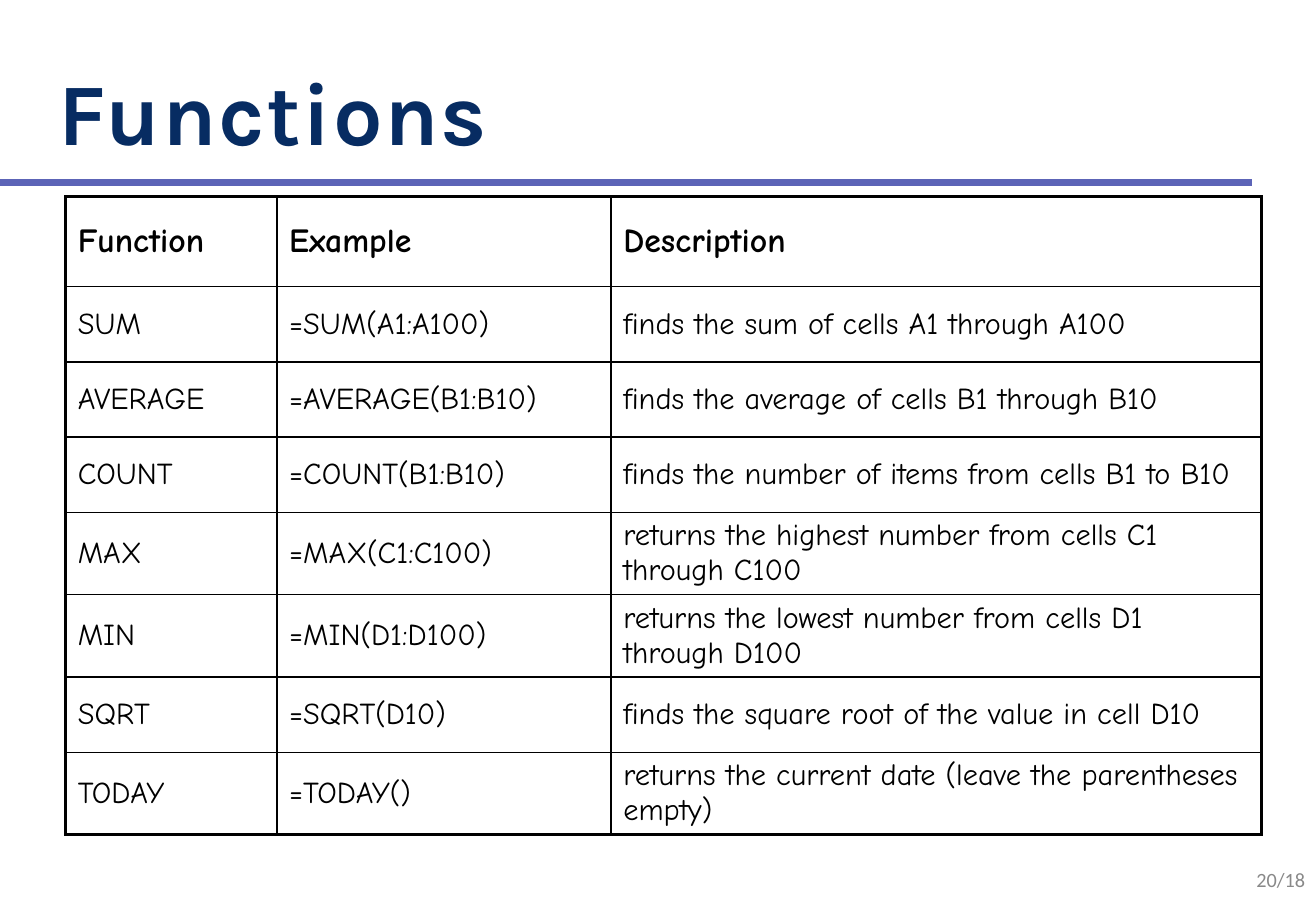
from dataclasses import dataclass

from lxml import etree
from pptx import Presentation
from pptx.dml.color import RGBColor
from pptx.enum.shapes import MSO_CONNECTOR
from pptx.enum.text import MSO_ANCHOR, MSO_AUTO_SIZE, PP_ALIGN
from pptx.oxml.ns import qn
from pptx.util import Inches, Pt

STRAIGHT = MSO_CONNECTOR.STRAIGHT
MIDDLE, BOTTOM = MSO_ANCHOR.MIDDLE, MSO_ANCHOR.BOTTOM
LEFT, RIGHT = PP_ALIGN.LEFT, PP_ALIGN.RIGHT
NO_AUTOFIT = MSO_AUTO_SIZE.NONE
TITLE_ONLY = 5


@dataclass(frozen=True)
class TextStyle:
    font: str
    size: float
    color: str
    bold: bool = False


@dataclass(frozen=True)
class Theme:
    title: TextStyle = TextStyle("Karla", 52, "072C62", True)
    header: TextStyle = TextStyle("Comic Neue", 20, "000000", True)
    body: TextStyle = TextStyle("Comic Neue", 18, "000000")
    page: TextStyle = TextStyle("Calibri", 12, "898989")
    rule: str = "5C64B7"
    rule_width: float = 4
    border: str = "000000"
    inner_border: float = 1
    outer_border: float = 2.25


THEME = Theme()

COLUMN_WIDTHS = (1.74, 2.75, 5.35)
HEADER_HEIGHT, BODY_HEIGHT = 0.74, 0.62
FUNCTION_ROWS = (
    ("Function", "Example", "Description"),
    ("SUM", "=SUM(A1:A100)", "finds the sum of cells A1 through A100"),
    ("AVERAGE", "=AVERAGE(B1:B10)", "finds the average of cells B1 through B10"),
    ("COUNT", "=COUNT(B1:B10)", "finds the number of items from cells B1 to B10"),
    ("MAX", "=MAX(C1:C100)", "returns the highest number from cells C1 through C100"),
    ("MIN", "=MIN(D1:D100)", "returns the lowest number from cells D1 through D100"),
    ("SQRT", "=SQRT(D10)", "finds the square root of the value in cell D10"),
    ("TODAY", "=TODAY()", "returns the current date (leave the parentheses empty)"),
)


def write(frame, text, style, align=LEFT):
    frame.text = text
    paragraph = frame.paragraphs[0]
    paragraph.alignment = align
    font = paragraph.runs[0].font
    font.name, font.size, font.bold = style.font, Pt(style.size), style.bold
    font.color.rgb = RGBColor.from_string(style.color)
    return paragraph


def add_title(slide, text):
    title = slide.shapes.title
    title.left, title.top = Inches(0.38), Inches(0.6)
    title.width, title.height = Inches(9.75), Inches(0.79)
    frame = title.text_frame
    frame.auto_size = NO_AUTOFIT
    frame.vertical_anchor = BOTTOM
    paragraph = write(frame, text, THEME.title)
    # Slightly open letter spacing
    paragraph.runs[0].font._element.set("spc", "100")


def add_rule(slide):
    y = Inches(1.5)
    rule = slide.shapes.add_connector(STRAIGHT, 0, y, Inches(10.3), y)
    rule.line.color.rgb = RGBColor.from_string(THEME.rule)
    rule.line.width = Pt(THEME.rule_width)
    etree.SubElement(rule._element.spPr, qn("a:effectLst"))


def set_borders(cell, outer_sides):
    properties = cell._tc.get_or_add_tcPr()
    for side in "LRTB":
        width = THEME.outer_border if side in outer_sides else THEME.inner_border
        border = etree.SubElement(properties, qn(f"a:ln{side}"), w=str(Pt(width)))
        fill = etree.SubElement(border, qn("a:solidFill"))
        etree.SubElement(fill, qn("a:srgbClr"), val=THEME.border)


def set_space_before(paragraph, percent):
    space = etree.SubElement(paragraph._p.get_or_add_pPr(), qn("a:spcBef"))
    etree.SubElement(space, qn("a:spcPct"), val=str(percent * 1000))


def add_function_table(slide):
    row_count, column_count = len(FUNCTION_ROWS), len(COLUMN_WIDTHS)
    heights = [HEADER_HEIGHT] + [BODY_HEIGHT] * (row_count - 1)
    table = slide.shapes.add_table(
        row_count, column_count, Inches(0.54), Inches(1.62),
        Inches(sum(COLUMN_WIDTHS)), Inches(sum(heights))).table
    table.first_row = table.horz_banding = False
    for column, width in zip(table.columns, COLUMN_WIDTHS):
        column.width = Inches(width)
    for r, (texts, height) in enumerate(zip(FUNCTION_ROWS, heights)):
        table.rows[r].height = Inches(height)
        for c, text in enumerate(texts):
            cell = table.cell(r, c)
            cell.vertical_anchor = MIDDLE
            style = THEME.header if r == 0 else THEME.body
            set_space_before(write(cell.text_frame, text, style), 20)
            # Heavy lines only on the outside of the table
            edges = {"L": c == 0, "R": c == column_count - 1,
                     "T": r == 0, "B": r == row_count - 1}
            set_borders(cell, [side for side, outer in edges.items() if outer])
            cell.fill.background()


def add_page_number(slide, text):
    box = slide.shapes.add_textbox(
        Inches(8.58), Inches(6.99), Inches(2.26), Inches(0.5))
    frame = box.text_frame
    frame.word_wrap = True
    frame.vertical_anchor = MIDDLE
    write(frame, text, THEME.page, RIGHT)


def main():
    presentation = Presentation()
    presentation.slide_width = Inches(10.83)
    presentation.slide_height = Inches(7.5)
    slide = presentation.slides.add_slide(presentation.slide_layouts[TITLE_ONLY])

    # Heading
    add_title(slide, "Functions")
    add_rule(slide)

    # Function reference
    add_function_table(slide)

    # Footer
    add_page_number(slide, "20/18")

    presentation.save("out.pptx")


if __name__ == "__main__":
    main()
